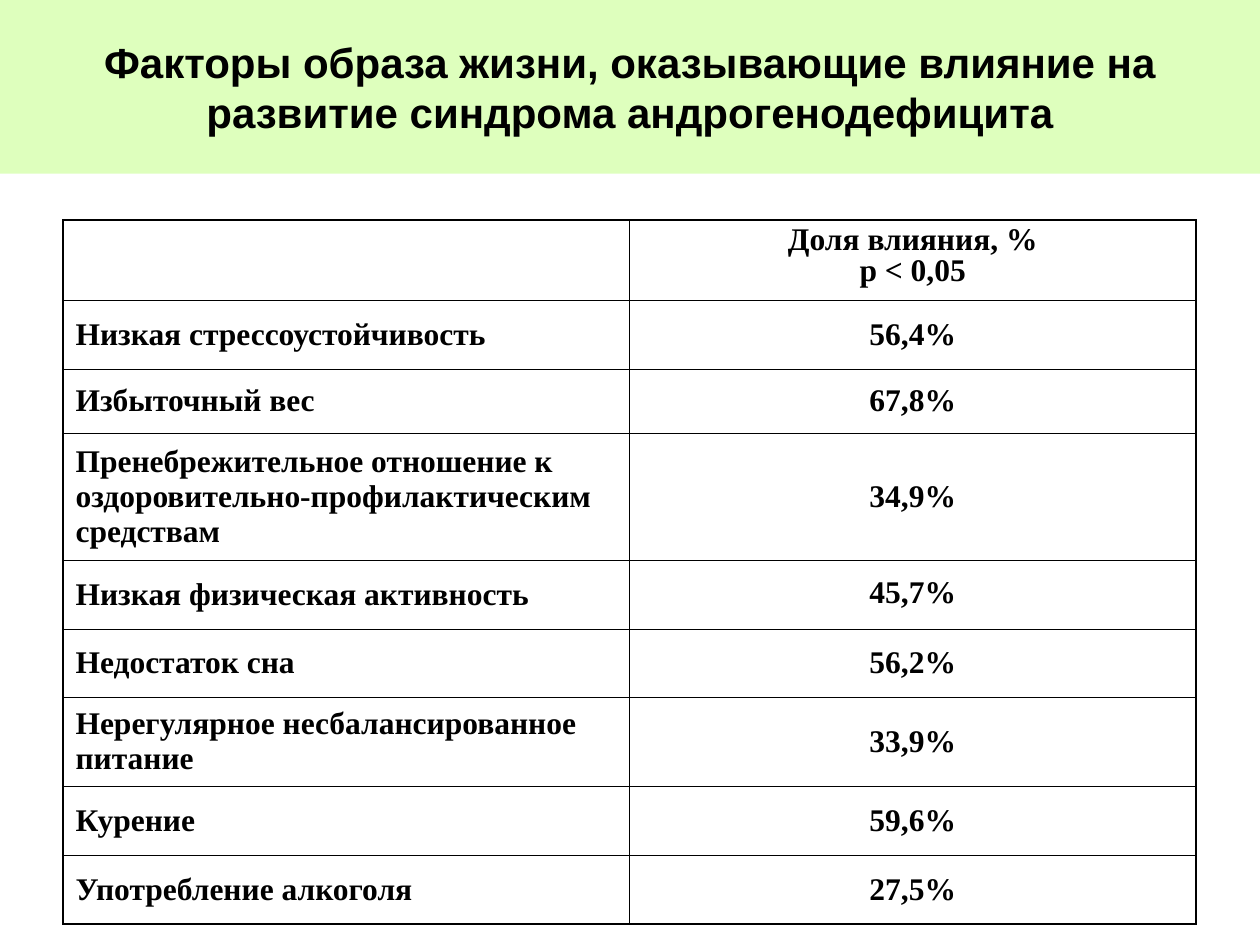
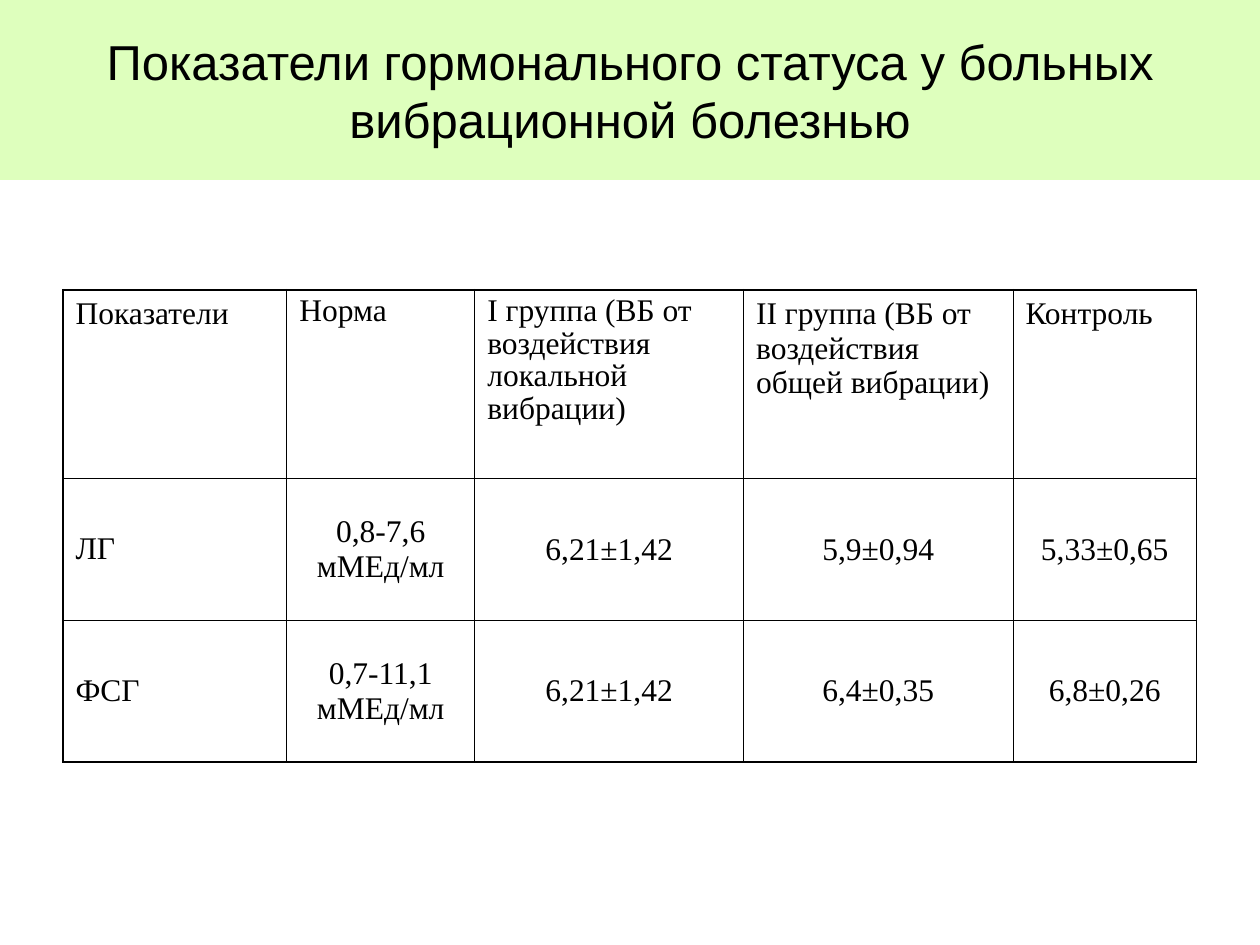
from lxml.etree import SubElement
from pptx import Presentation
from pptx.dml.color import RGBColor
from pptx.enum.shapes import MSO_SHAPE
from pptx.enum.text import MSO_ANCHOR, PP_ALIGN
from pptx.oxml.ns import qn
from pptx.util import Cm, Pt

BAND_GREEN = RGBColor(0xDE, 0xFF, 0xBD)
BLACK = RGBColor(0x00, 0x00, 0x00)
WHITE = RGBColor(0xFF, 0xFF, 0xFF)
TITLE_FONT = "Arial"
TABLE_FONT = "Times New Roman"
TABLE_LEFT = 1.27
TABLE_TEXT_SIZE = 18
INNER_LINE = 0.45
OUTER_LINE = 1.08

# "tight" maps (row, column) to a reduced line spacing
SLIDES = [
    {
        "title": "Факторы образа жизни, оказывающие влияние на развитие синдрома андрогенодефицита",
        "title_size": 24,
        "bold": True,
        "band_height": 3.5,
        "table_top": 4.44,
        "column_widths": [11.42, 11.42],
        "row_heights": [1.61, 1.39, 1.29, 2.56, 1.39, 1.38, 1.79, 1.39, 1.39],
        "header_align": PP_ALIGN.CENTER,
        "tight": {(0, 1): 0.87, (4, 1): 0.87},
        "rows": [
            ["", "Доля влияния, %\np < 0,05"],
            ["Низкая стрессоустойчивость", "56,4%"],
            ["Избыточный вес", "67,8%"],
            ["Пренебрежительное отношение к оздоровительно-профилактическим средствам", "34,9%"],
            ["Низкая физическая активность", "45,7%"],
            ["Недостаток сна", "56,2%"],
            ["Нерегулярное несбалансированное питание", "33,9%"],
            ["Курение", "59,6%"],
            ["Употребление алкоголя", "27,5%"],
        ],
    },
    {
        "title": "Показатели гормонального статуса у больных вибрационной болезнью",
        "title_size": 28,
        "bold": False,
        "band_height": 3.63,
        "table_top": 5.84,
        "column_widths": [4.51, 3.79, 5.42, 5.43, 3.7],
        "row_heights": [3.81, 2.85, 2.86],
        "header_align": PP_ALIGN.LEFT,
        "tight": {(0, 1): 0.93, (0, 2): 0.93, (1, 0): 0.93},
        "rows": [
            ["Показатели", "Норма", "I группа (ВБ от воздействия локальной вибрации)",
             "II группа (ВБ от воздействия общей вибрации)", "Контроль"],
            ["ЛГ", "0,8-7,6 мМЕд/мл", "6,21±1,42", "5,9±0,94", "5,33±0,65"],
            ["ФСГ", "0,7-11,1 мМЕд/мл", "6,21±1,42", "6,4±0,35", "6,8±0,26"],
        ],
    },
]


def add_span(para, text, font_name, size, bold):
    span = para.add_run()
    span.text = text
    span.font.name = font_name
    span.font.size = Pt(size)
    span.font.bold = bold
    span.font.color.rgb = BLACK


def add_border(cell, side, width):
    """Draw one side (L, R, T or B) of a cell; call in that order, before the fill."""
    line = SubElement(cell._tc.get_or_add_tcPr(), qn(f"a:ln{side}"), w=str(Pt(width)))
    fill = SubElement(line, qn("a:solidFill"))
    SubElement(fill, qn("a:srgbClr"), val=str(BLACK))


deck = Presentation()
deck.slide_width = Cm(25.4)
deck.slide_height = Cm(19.05)

for content in SLIDES:
    page = deck.slides.add_slide(deck.slide_layouts[6])
    page.background.fill.solid()
    page.background.fill.fore_color.rgb = WHITE

    band = page.shapes.add_shape(
        MSO_SHAPE.RECTANGLE, 0, 0, deck.slide_width, Cm(content["band_height"]))
    band.shadow.inherit = False
    band.fill.solid()
    band.fill.fore_color.rgb = BAND_GREEN
    band.line.fill.background()
    band.text_frame.word_wrap = True
    band.text_frame.vertical_anchor = MSO_ANCHOR.MIDDLE
    para = band.text_frame.paragraphs[0]
    para.alignment = PP_ALIGN.CENTER
    add_span(para, content["title"], TITLE_FONT, content["title_size"], content["bold"])

    rows = content["rows"]
    widths = content["column_widths"]
    heights = content["row_heights"]
    last_row = len(rows) - 1
    last_column = len(widths) - 1
    table = page.shapes.add_table(
        len(rows), len(widths), Cm(TABLE_LEFT), Cm(content["table_top"]),
        Cm(sum(widths)), Cm(sum(heights))).table
    table.first_row = False
    table.horz_banding = False
    for column, width in zip(table.columns, widths):
        column.width = Cm(width)

    for row_index, texts in enumerate(rows):
        table.rows[row_index].height = Cm(heights[row_index])
        for column_index, text in enumerate(texts):
            cell = table.cell(row_index, column_index)
            outer_sides = {
                "L": column_index == 0,
                "R": column_index == last_column,
                "T": row_index == 0,
                "B": row_index == last_row,
            }
            for side, is_outer in outer_sides.items():
                add_border(cell, side, OUTER_LINE if is_outer else INNER_LINE)
            cell.fill.background()
            cell.vertical_anchor = MSO_ANCHOR.MIDDLE if row_index else MSO_ANCHOR.TOP
            if not text:
                continue

            if row_index == 0:
                alignment = content["header_align"]
            else:
                alignment = PP_ALIGN.CENTER if column_index else PP_ALIGN.LEFT
            tight_spacing = content["tight"].get((row_index, column_index))
            for line_index, line_text in enumerate(text.split("\n")):
                frame = cell.text_frame
                para = frame.add_paragraph() if line_index else frame.paragraphs[0]
                para.alignment = alignment
                if tight_spacing:
                    para.line_spacing = tight_spacing
                else:
                    para.space_before = Pt(4.5)
                add_span(para, line_text, TABLE_FONT, TABLE_TEXT_SIZE, content["bold"])

deck.save("out.pptx")
